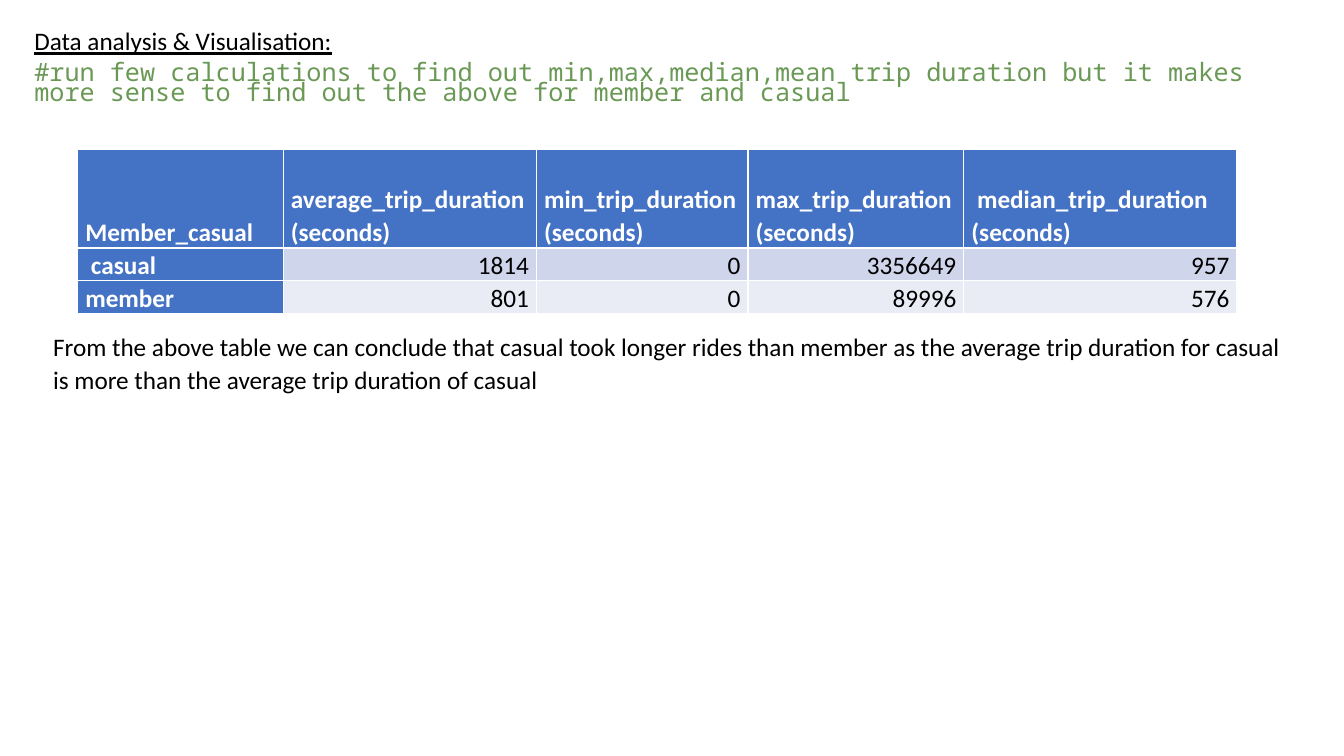
from pptx import Presentation
from pptx.dml.color import RGBColor
from pptx.enum import text
from pptx.util import Cm, Pt

COLORS = {
    "black": "000000",
    "white": "FFFFFF",
    "comment": "6A9955",
    "header": "4472C4",
    "casual": "CFD5EA",
    "member": "E9EBF5",
}


def format_paragraph(p, color, name="Calibri", spacing=1.07, bold=False):
    p.line_spacing = spacing
    p.space_after = Pt(8)
    p.font.name = name
    p.font.size = Pt(18)
    p.font.bold = bold
    p.font.color.rgb = RGBColor.from_string(COLORS[color])


prs = Presentation()
prs.slide_width, prs.slide_height = Cm(33.87), Cm(19.05)
s = prs.slides.add_slide(prs.slide_layouts[5])

# Heading and code comment
title = s.shapes.title
title.left, title.top, title.width, title.height = Cm(0.61), Cm(0.46), Cm(32.61), Cm(5.28)
tf = title.text_frame
tf.text = (
    "Data analysis & Visualisation:\n"
    "#run few calculations to find out min,max,median,mean trip duration "
    "but it makes more sense to find out the above for member and casual"
)
tf.word_wrap = True
tf.auto_size = text.MSO_AUTO_SIZE.NONE
tf.vertical_anchor = text.MSO_ANCHOR.TOP
heading, comment = tf.paragraphs
format_paragraph(heading, "black")
heading.font.underline = True
format_paragraph(comment, "comment", "Noto Sans Mono", Pt(14.2))
for p in tf.paragraphs:
    p.alignment = text.PP_ALIGN.LEFT

# Trip duration table; the default style supplies the white borders
rows = [
    ["Member_casual", "average_trip_duration (seconds)", " min_trip_duration (seconds)",
     "max_trip_duration (seconds)", " median_trip_duration (seconds)"],
    [" casual", "1814", "0", "3356649", "957"],
    ["member", "801", "0", "89996", "576"],
]
row_fills = ["header", "casual", "member"]
row_heights = [2.44, 0.83, 0.83]
col_widths = [5.18, 6.38, 5.33, 5.44, 6.88]

table = s.shapes.add_table(
    len(rows), len(col_widths), Cm(1.96), Cm(3.76),
    Cm(sum(col_widths)), Cm(sum(row_heights)),
).table
table.first_col = True
for column, width in zip(table.columns, col_widths):
    column.width = Cm(width)
for i, values in enumerate(rows):
    table.rows[i].height = Cm(row_heights[i])
    for j, value in enumerate(values):
        is_header = i == 0 or j == 0
        cell = table.cell(i, j)
        cell.text = value
        cell.vertical_anchor = text.MSO_ANCHOR.BOTTOM
        cell.margin_left = cell.margin_right = Cm(0.19)
        cell.margin_top = cell.margin_bottom = 0
        cell.fill.solid()
        fill = "header" if is_header else row_fills[i]
        cell.fill.fore_color.rgb = RGBColor.from_string(COLORS[fill])
        p = cell.text_frame.paragraphs[0]
        p.alignment = text.PP_ALIGN.LEFT if is_header else text.PP_ALIGN.RIGHT
        format_paragraph(p, "white" if is_header else "black", bold=is_header)

# Conclusion
conclusion = s.shapes.add_textbox(Cm(1.09), Cm(8.18), Cm(31.83), Cm(1.85))
tf = conclusion.text_frame
tf.word_wrap = True
tf.text = (
    "From the above table we can conclude that casual took longer rides than member "
    "as the average trip duration for casual is more than the average trip duration of casual"
)
format_paragraph(tf.paragraphs[0], "black")

prs.save("out.pptx")
